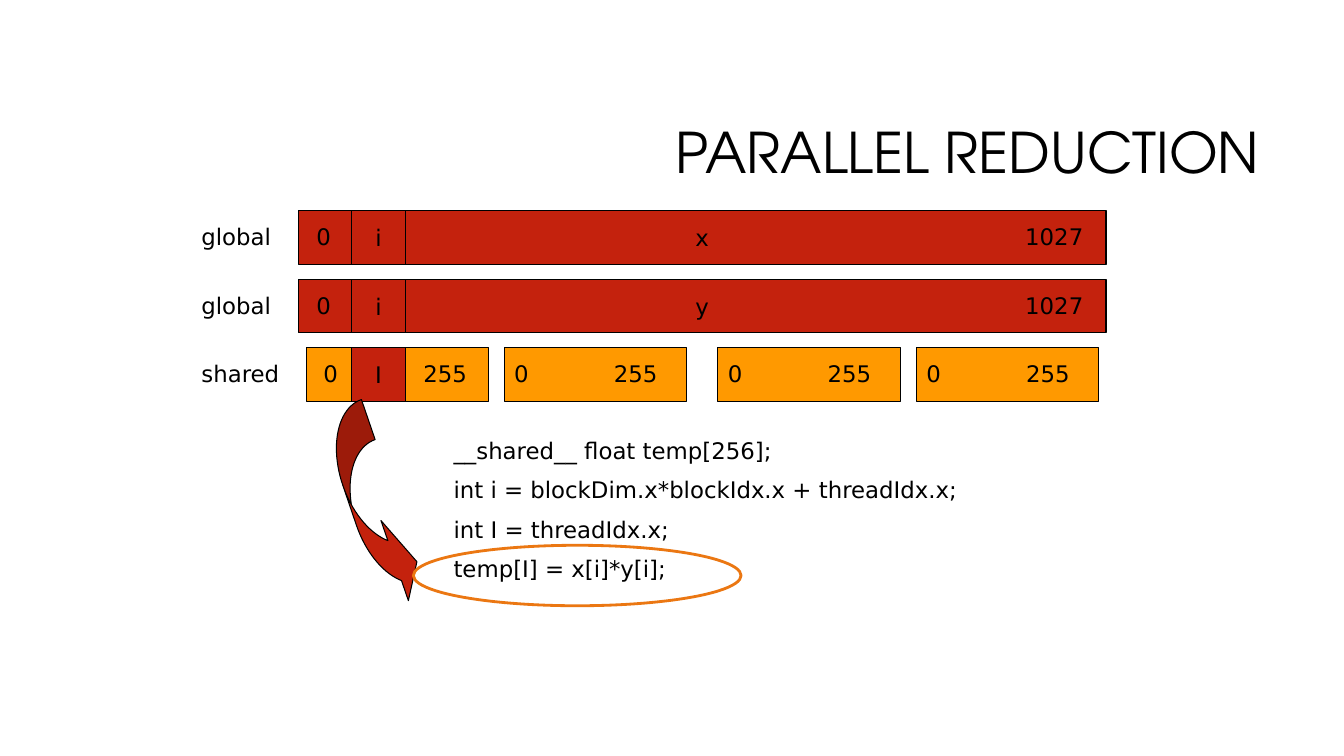
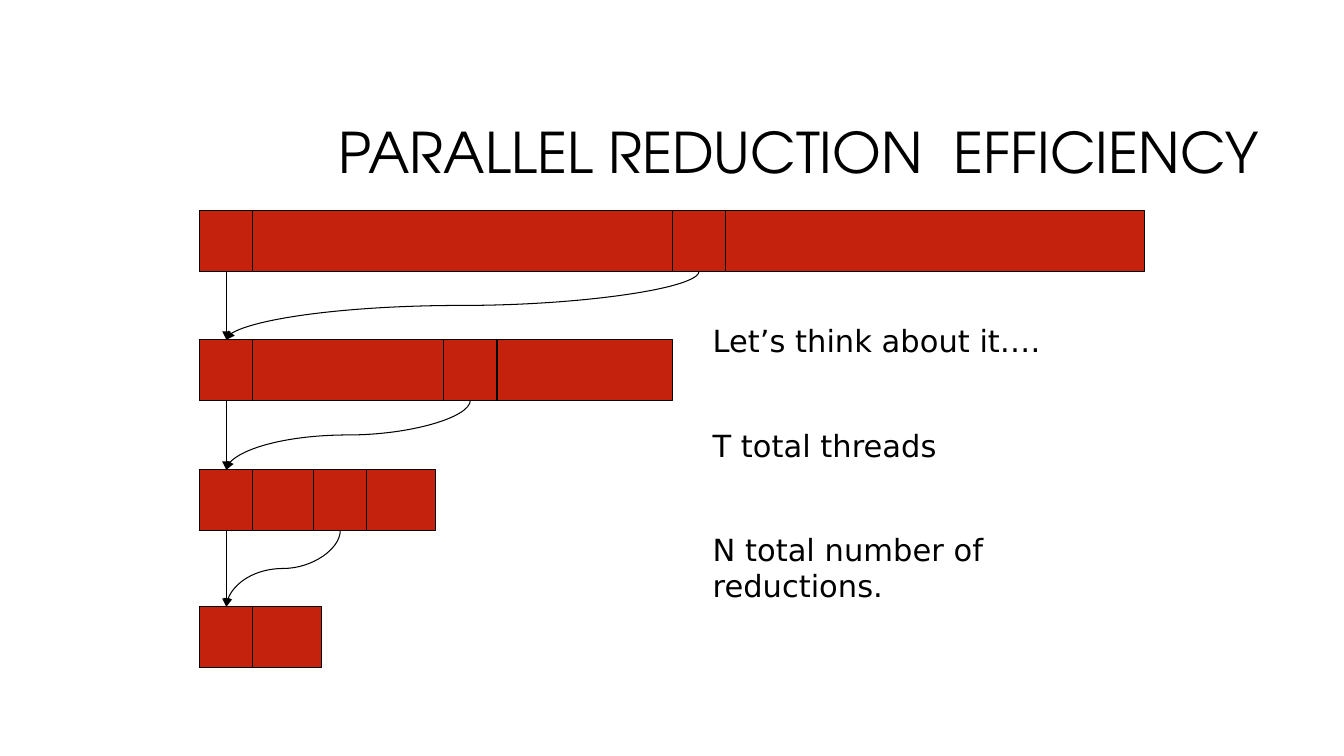
from dataclasses import dataclass
from lxml import etree
from pptx import Presentation
from pptx.dml.color import RGBColor
from pptx.enum.shapes import MSO_CONNECTOR, MSO_SHAPE
from pptx.enum.text import MSO_ANCHOR, MSO_AUTO_SIZE, PP_ALIGN
from pptx.oxml.ns import qn
from pptx.util import Inches, Pt

RECT, OVAL, ARROW = MSO_SHAPE.RECTANGLE, MSO_SHAPE.OVAL, MSO_SHAPE.CURVED_RIGHT_ARROW
STRAIGHT, CURVE = MSO_CONNECTOR.STRAIGHT, MSO_CONNECTOR.CURVE
LEFT, CENTER, RIGHT = PP_ALIGN.LEFT, PP_ALIGN.CENTER, PP_ALIGN.RIGHT
MIDDLE = MSO_ANCHOR.MIDDLE
NO_FIT = MSO_AUTO_SIZE.NONE


@dataclass(frozen=True)
class Theme:
    ink: RGBColor = RGBColor(0x00, 0x00, 0x00)
    red: RGBColor = RGBColor(0xC4, 0x22, 0x0D)
    amber: RGBColor = RGBColor(0xFF, 0x99, 0x00)
    ring: RGBColor = RGBColor(0xEB, 0x77, 0x12)
    title_font: str = "TeX Gyre Adventor"
    body_font: str = "DejaVu Sans"
    title_size: float = 40
    label_size: float = 16.3
    note_size: float = 21.8
    thin: float = 0.75
    thick: float = 2


T = Theme()

MEMORY_TITLE = "PARALLEL REDUCTION"
GLOBAL_ROWS = [("x", 2.09), ("y", 2.77)]
SHARED_TOP = 3.45
BLOCK_LEFTS = [3.04, 5.0, 7.12, 9.09]
CODE = [
    "__shared__ float temp[256];",
    "int i = blockDim.x*blockIdx.x + threadIdx.x;",
    "int I = threadIdx.x;",
    "temp[I] = x[i]*y[i];",
]

EFFICIENCY_TITLE = "PARALLEL REDUCTION  EFFICIENCY"
STEPS = [(2.09, 9.37, 6.67), (3.37, 4.69, 4.4), (4.66, 2.34, 3.11), (6.02, 1.21, None)]
NOTES = ["Let’s think about it….", "T total threads", "N total number of reductions."]

CELL = 0.53
BAR_LEFT, BAR_W = 2.96, 8.01
CELL_LEFT = 3.49
BLOCK_W = 1.81
STEP_LEFT, STEP_H = 1.98, 0.6


def style(p, size, font=T.body_font, align=LEFT):
    p.alignment = align
    p.font.size = Pt(size)
    p.font.name = font
    p.font.color.rgb = T.ink


def add_slide(prs, title):
    s = prs.slides.add_slide(prs.slide_layouts[5])
    sp = s.shapes.title
    sp.left, sp.top, sp.width, sp.height = map(Inches, (3.17, 0.84, 9.42, 1.41))
    tf = sp.text_frame
    tf.text = title
    tf.auto_size = NO_FIT
    tf.vertical_anchor = MIDDLE
    p = tf.paragraphs[0]
    style(p, T.title_size, T.title_font, RIGHT)
    p.line_spacing = 0.9
    return s


def add_shape(s, box, fill=T.red, text="", kind=RECT, line=T.ink, weight=T.thin):
    sp = s.shapes.add_shape(kind, *map(Inches, box))
    sp.shadow.inherit = False
    if fill is None:
        sp.fill.background()
    else:
        sp.fill.solid()
        sp.fill.fore_color.rgb = fill
    sp.line.color.rgb = line
    sp.line.width = Pt(weight)
    if text:
        tf = sp.text_frame
        tf.text = text
        tf.word_wrap = False
        tf.vertical_anchor = MIDDLE
        style(tf.paragraphs[0], T.label_size, align=CENTER)
    return sp


def add_text(s, box, lines, size=T.label_size, gap=0):
    tf = s.shapes.add_textbox(*map(Inches, box)).text_frame
    tf.word_wrap = True
    tf.text = "\n".join(lines)
    for p in tf.paragraphs:
        style(p, size)
        p.space_after = Pt(gap)


def add_label(s, left, row_top, width, text):
    add_text(s, (left, row_top + 0.07, width, 0.38), [text])


def add_arrow(s, kind, x1, y1, x2, y2):
    c = s.shapes.add_connector(kind, *map(Inches, (x1, y1, x2, y2)))
    c.line.color.rgb = T.ink
    c.line.width = Pt(T.thin)
    etree.SubElement(c.line._get_or_add_ln(), qn("a:tailEnd"), type="triangle")
    etree.SubElement(c._element.spPr, qn("a:effectLst"))
    return c


def add_fold_arrow(s, x1, y1, x2, y2):
    mid_x, mid_y = (x1 + x2) / 2, (y1 + y2) / 2
    half_w, half_h = (y2 - y1) / 2, (x1 - x2) / 2
    c = add_arrow(s, CURVE, mid_x - half_w, mid_y - half_h, mid_x + half_w, mid_y + half_h)
    c._element.spPr.find(qn("a:xfrm")).set("rot", str(90 * 60000))


def build_memory(prs):
    s = add_slide(prs, MEMORY_TITLE)
    for name, top in GLOBAL_ROWS:
        add_shape(s, (BAR_LEFT, top, BAR_W, CELL), text=name)
        add_label(s, 1.9, top, 1.13, "global")
        add_label(s, 3.04, top, 0.38, "0")
        add_label(s, 10.07, top, 0.83, "1027")
        add_shape(s, (CELL_LEFT, top, CELL, CELL), text="i")

    add_label(s, 1.9, SHARED_TOP, 1.13, "shared")
    for i, left in enumerate(BLOCK_LEFTS):
        add_shape(s, (left, SHARED_TOP, BLOCK_W, CELL), T.amber)
        shift = 0.07 if i == 0 else 0
        add_label(s, left + shift, SHARED_TOP, 0.38, "0")
        add_label(s, left + 0.99 + shift, SHARED_TOP, 0.83, "255")
    add_shape(s, (CELL_LEFT, SHARED_TOP, CELL, CELL), text="I")

    add_text(s, (4.4, 4.28, 7.48, 1.61), CODE, gap=8.7)
    arrow = add_shape(s, (3.49, 3.98, 0.45, 2.12), kind=ARROW)
    arrow.rotation = 341.1
    for i, value in enumerate((0.933, 1.867, 0.455)):
        arrow.adjustments[i] = value
    add_shape(s, (4.1, 5.41, 3.25, 0.6), None, kind=OVAL, line=T.ring, weight=T.thick)


def build_efficiency(prs):
    s = add_slide(prs, EFFICIENCY_TITLE)
    for top, width, partner in STEPS:
        add_shape(s, (STEP_LEFT, top, width, STEP_H))
        for left in (partner, STEP_LEFT):
            if left is not None:
                add_shape(s, (left, top, CELL, STEP_H))

    target = STEP_LEFT + CELL / 2
    for (top, _, partner), (next_top, _, _) in zip(STEPS, STEPS[1:]):
        bottom = top + STEP_H
        add_arrow(s, STRAIGHT, target, bottom, target, next_top)
        add_fold_arrow(s, partner + CELL / 2, bottom, target, next_top)
    add_text(s, (6.97, 3.15, 4.46, 3.03), NOTES, T.note_size, gap=48.2)


prs = Presentation()
prs.slide_width, prs.slide_height = Inches(13.33), Inches(7.5)
build_memory(prs)
build_efficiency(prs)
prs.save("out.pptx")
